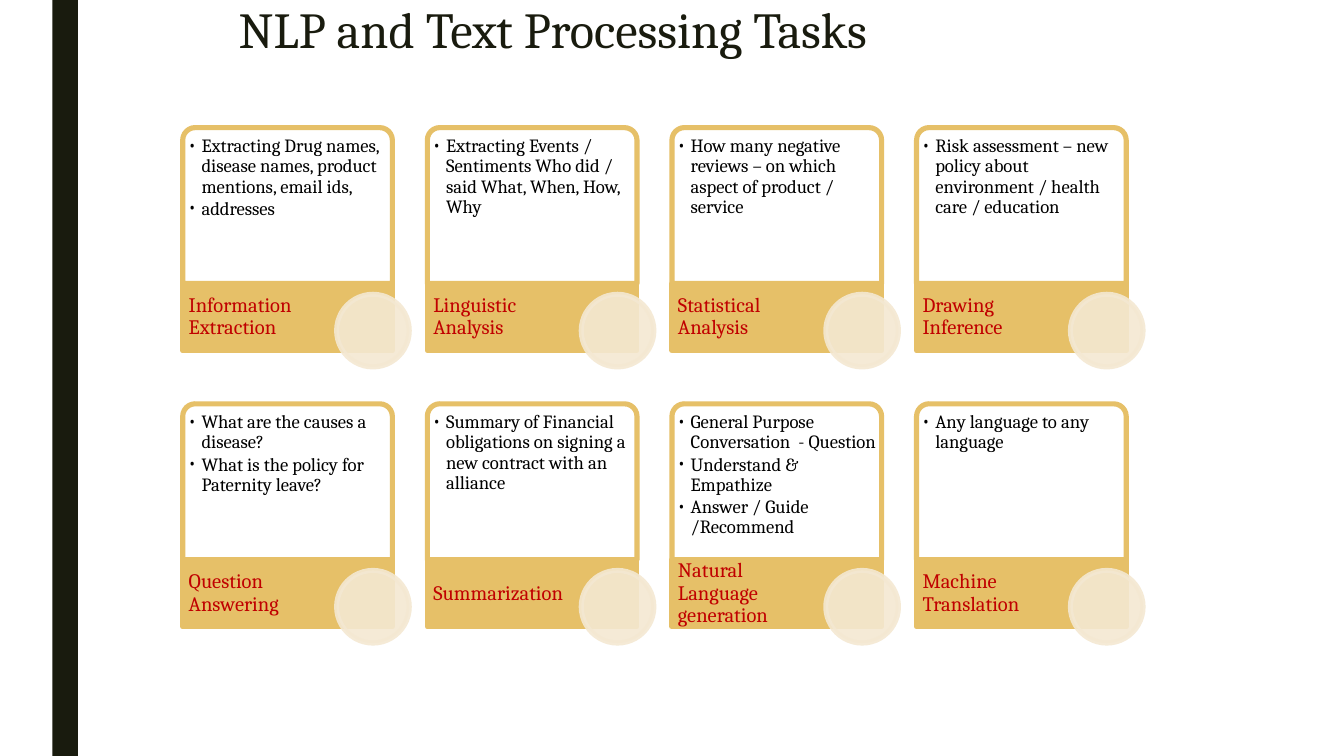
"""Build a slide of eight NLP and text processing task cards."""
from dataclasses import dataclass

from lxml import etree
from pptx import Presentation
from pptx import util as u
from pptx.dml.color import RGBColor
from pptx.enum import shapes, text
from pptx.oxml.ns import qn

EMU_PER_PX = 4572
SLIDE_W, SLIDE_H = 2000, 1125
FONT = "Cambria"
DARK, GOLD, CREAM = "191B0E", "E6C068", "F4E8D2"
WHITE, BLACK, RED = "FFFFFF", "000000", "C00000"
LEFT, TOP, COL_STEP, ROW_STEP, COLUMNS = 272, 190, 364, 411, 4
CARD_W, BODY_H, LABEL_H, CIRCLE = 312, 232, 100, 108


@dataclass
class Card:
    label: str
    bullets: list[str]


CARDS = [
    Card("Information Extraction", [
        "Extracting Drug names, disease names, product mentions, email ids,",
        "addresses"]),
    Card("Linguistic Analysis", [
        "Extracting Events / Sentiments Who did / said What, When, How, Why"]),
    Card("Statistical Analysis", [
        "How many negative reviews – on which aspect of product / service"]),
    Card("Drawing Inference", [
        "Risk assessment – new policy about environment / health care / education"]),
    Card("Question Answering", [
        "What are the causes a disease?",
        "What is the policy for Paternity leave?"]),
    Card("Summarization", [
        "Summary of Financial obligations on signing a new contract with an alliance"]),
    Card("Natural Language generation", [
        "General Purpose Conversation  - Question",
        "Understand & Empathize",
        "Answer / Guide /Recommend"]),
    Card("Machine Translation", ["Any language to any language"]),
]


def px(n: int) -> u.Emu:
    return u.Emu(n * EMU_PER_PX)


def rgb(value: str) -> RGBColor:
    return RGBColor.from_string(value)


def set_alpha(fill_parent, percent: int) -> None:
    color = fill_parent.find(qn("a:solidFill"))[0]
    etree.SubElement(color, qn("a:alpha"), val=str(percent * 1000))


def add_box(slide, kind, x: int, y: int, w: int, h: int, fill: str,
            line: str | None = None, alpha: int = 100):
    sp = slide.shapes.add_shape(kind, px(x), px(y), px(w), px(h))
    sp.shadow.inherit = False
    sp.fill.solid()
    sp.fill.fore_color.rgb = rgb(fill)
    if alpha < 100:
        set_alpha(sp.fill._xPr, alpha)
    if line:
        sp.line.color.rgb = rgb(line)
        sp.line.width = u.Pt(2.75)
    else:
        sp.line.fill.background()
    return sp


def set_frame(tf, insets: tuple[int, int, int, int], anchor) -> None:
    tf.word_wrap = True
    tf.auto_size = text.MSO_AUTO_SIZE.NONE
    tf.vertical_anchor = anchor
    tf.margin_left, tf.margin_top, tf.margin_right, tf.margin_bottom = map(px, insets)


def style(p, size: int, color: str, spacing: float = 0.9) -> None:
    p.alignment = text.PP_ALIGN.LEFT
    p.line_spacing = spacing
    for r in p.runs:
        r.font.size = u.Pt(size)
        r.font.name = FONT
        r.font.color.rgb = rgb(color)


def add_bullet(p) -> None:
    p.level = 1
    pPr = p._p.get_or_add_pPr()
    pPr.set("marL", str(px(20)))
    pPr.set("indent", str(-px(20)))
    color = etree.SubElement(pPr, qn("a:buClr"))
    etree.SubElement(color, qn("a:srgbClr"), val=BLACK)
    etree.SubElement(pPr, qn("a:buFont"), typeface=FONT)
    etree.SubElement(pPr, qn("a:buChar"), char="•")


def add_text(slide, x: int, y: int, w: int, h: int, insets: tuple[int, int, int, int],
             anchor, lines: list[str], size: int, color: str, bulleted: bool) -> None:
    tf = slide.shapes.add_textbox(px(x), px(y), px(w), px(h)).text_frame
    set_frame(tf, insets, anchor)
    tf.text = "\n".join(lines)
    for i, p in enumerate(tf.paragraphs):
        if bulleted:
            add_bullet(p)
        style(p, size, color)
        if i:
            p.space_before = u.Pt(1)


def add_card(slide, card: Card, x: int, y: int) -> None:
    kinds = shapes.MSO_SHAPE
    label_y = y + BODY_H
    body = add_box(slide, kinds.ROUND_2_SAME_RECTANGLE, x, y, CARD_W, BODY_H,
                   WHITE, GOLD, 90)
    body.adjustments[0] = 0.08
    body.adjustments[1] = 0
    add_text(slide, x + 6, y + 5, CARD_W - 12, BODY_H - 5, (2, 8, 2, 2),
             text.MSO_ANCHOR.TOP, card.bullets, 10, BLACK, True)
    add_box(slide, kinds.RECTANGLE, x, label_y, CARD_W, LABEL_H, GOLD, GOLD)
    add_text(slide, x, label_y, 220, LABEL_H, (9, 0, 2, 0),
             text.MSO_ANCHOR.MIDDLE, [card.label], 11, RED, False)
    circle = add_box(slide, kinds.OVAL, x + 229, label_y + 16, CIRCLE, CIRCLE,
                     CREAM, CREAM, 90)
    set_alpha(circle.line._get_or_add_ln(), 90)


def add_title(slide, title: str) -> None:
    sp = slide.shapes.title
    sp.left, sp.top, sp.width, sp.height = px(341), px(0), px(1320), px(136)
    tf = sp.text_frame
    set_frame(tf, (14, 8, 14, 8), text.MSO_ANCHOR.TOP)
    tf.text = title
    style(tf.paragraphs[0], 27, DARK, 0.89)


def main() -> None:
    prs = Presentation()
    prs.slide_width, prs.slide_height = px(SLIDE_W), px(SLIDE_H)
    slide = prs.slides.add_slide(prs.slide_layouts[5])
    add_box(slide, shapes.MSO_SHAPE.RECTANGLE, 78, 0, 38, SLIDE_H, DARK)
    add_title(slide, "NLP and Text Processing Tasks")
    for i, card in enumerate(CARDS):
        row, col = divmod(i, COLUMNS)
        add_card(slide, card, LEFT + col * COL_STEP, TOP + row * ROW_STEP)
    prs.save("out.pptx")


if __name__ == "__main__":
    main()
